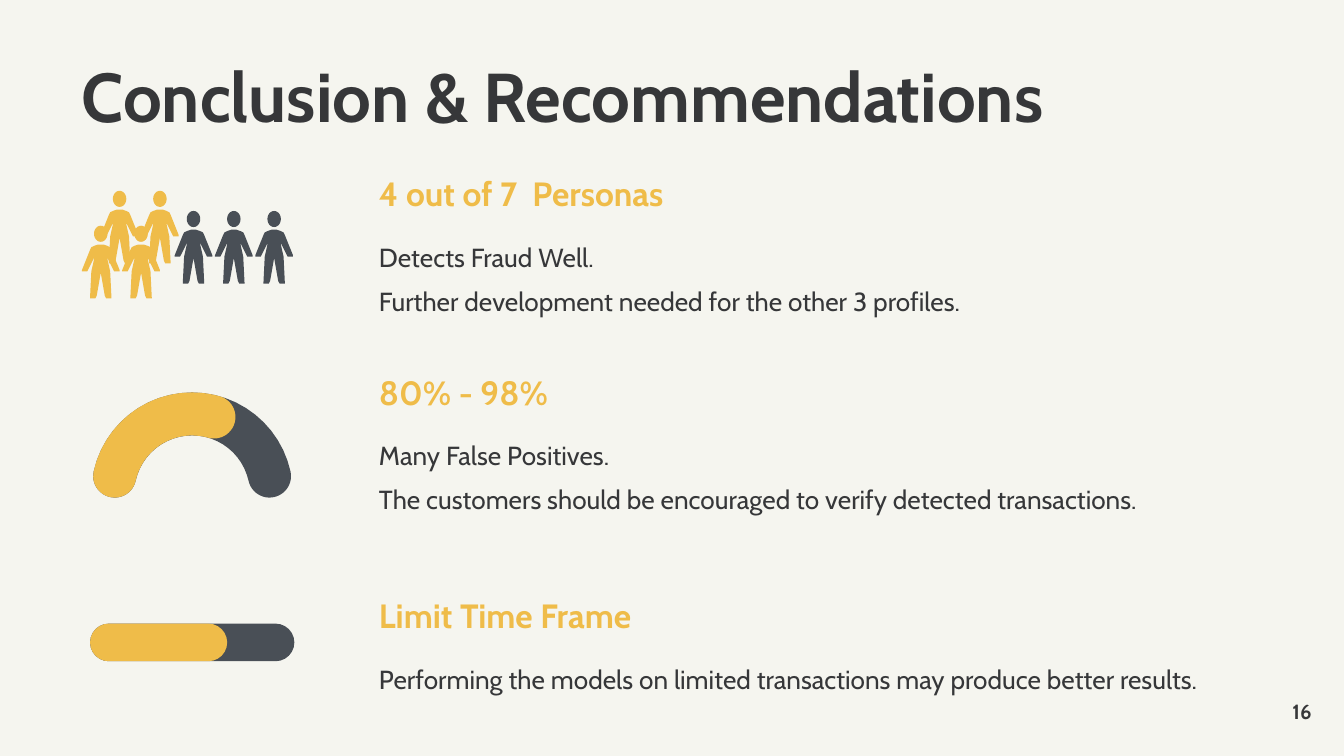
import math
import pptx
import pptx.dml.color
import pptx.enum.shapes
import pptx.enum.text
import pptx.util

Inches = pptx.util.Inches
Pt = pptx.util.Pt
RGB = pptx.dml.color.RGBColor.from_string
Align = pptx.enum.text.PP_ALIGN
Anchor = pptx.enum.text.MSO_ANCHOR


class Theme:
    font = "Cabin"
    paper = RGB("F5F5EF")
    ink = RGB("363739")
    gold = RGB("EFBC49")
    slate = RGB("494F56")
    title = Pt(37)
    head = Pt(18)
    body = Pt(14)
    page = Pt(11)


def arc(x, y, wide, high, start, end, steps=24):
    """Points along an ellipse, angles in degrees counted anticlockwise."""
    turns = [math.radians(start + (end - start) * i / steps) for i in range(steps + 1)]
    return [(x + wide * math.cos(t), y - high * math.sin(t)) for t in turns]


def draw(rings, color):
    """One filled outline made of several closed rings."""
    rings = [[(Inches(x), Inches(y)) for x, y in ring] for ring in rings]
    build = slide.shapes.build_freeform(*rings[0][0])
    for i, ring in enumerate(rings):
        if i:
            build.move_to(*ring[0])
        build.add_line_segments(ring[1:], close=True)
    shape = build.convert_to_shape()
    shape.shadow.inherit = False
    shape.fill.solid()
    shape.fill.fore_color.rgb = color
    shape.line.fill.background()


# Widescreen slide, 16 to 9
deck = pptx.Presentation()
deck.slide_width = Inches(10)
deck.slide_height = deck.slide_width * 9 // 16
slide = deck.slides.add_slide(deck.slide_layouts[5])
slide.background.fill.solid()
slide.background.fill.fore_color.rgb = Theme.paper

# Gauge: a full band, then the filled part over it
mid_x, mid_y, reach, half = 1.43, 3.67, 0.59, 0.16
low = 167.5
for end, color in [(12.5, Theme.slate), (74, Theme.gold)]:
    caps = []
    for angle in (end, low):
        turn = math.radians(angle)
        caps.append((mid_x + reach * math.cos(turn), mid_y - reach * math.sin(turn)))
    outer, inner = reach + half, reach - half
    draw([arc(mid_x, mid_y, outer, outer, low, end)
          + arc(*caps[0], half, half, end, end - 180)
          + arc(mid_x, mid_y, inner, inner, end, low)
          + arc(*caps[1], half, half, low + 180, low)], color)

# Progress bar: track, then the filled part over it
for width, color in [(1.52, Theme.slate), (1.02, Theme.gold)]:
    bar = slide.shapes.add_shape(
        pptx.enum.shapes.MSO_SHAPE.ROUNDED_RECTANGLE,
        Inches(0.67), Inches(4.64), Inches(width), Inches(0.28))
    bar.adjustments[0] = 0.5
    bar.shadow.inherit = False
    bar.fill.solid()
    bar.fill.fore_color.rgb = color
    bar.line.fill.background()

# People: right half of a body, mirrored about its middle line
side = [(0.02, 0.14), (0.05, 0.15), (0.07, 0.16), (0.08, 0.18), (0.1, 0.23),
        (0.14, 0.33), (0.14, 0.34), (0.12, 0.34), (0.1, 0.34), (0.09, 0.32),
        (0.05, 0.24), (0.05, 0.25), (0.07, 0.34), (0.08, 0.54), (0.07, 0.54),
        (0.06, 0.54), (0.04, 0.54), (0.03, 0.52), (0, 0.35)]
body = side + [(-x, y) for x, y in reversed(side)]
for left, top, count, color in [(0.89, 1.42, 2, Theme.gold),
                                (1.44, 1.57, 3, Theme.slate),
                                (0.75, 1.68, 2, Theme.gold)]:
    rings = []
    for i in range(count):
        x = left + 0.3 * i
        rings.append(arc(x, top + 0.06, 0.05, 0.06, 0, 360))
        rings.append([(x + dx, top + dy) for dx, dy in body])
    draw(rings, color)

# Wording: title, page number, then a heading and body for each row
rows = [
    (1.23, "4 out of 7  Personas",
     ["Detects Fraud Well.", "Further development needed for the other 3 profiles."]),
    (2.71, "80% - 98%",
     ["Many False Positives.",
      "The customers should be encouraged to verify detected transactions."]),
    (4.37, "Limit Time Frame",
     ["Performing the models on limited transactions may produce better results."]),
]
page = slide.shapes.add_textbox(0, 0, 0, 0)
texts = [
    (slide.shapes.title, (0.61, 0.47, 8.18, 0.79), ["Conclusion & Recommendations"],
     Theme.title, Theme.ink, True, 0.9),
    (page, (9.16, 5.19, 0.6, 0.2), ["16"], Theme.page, Theme.ink, True, 1.0),
]
for top, head, lines in rows:
    texts.append((slide.shapes.add_textbox(0, 0, 0, 0), (2.82, top, 4.36, 0.3),
                  [head], Theme.head, Theme.gold, True, 1.2))
    texts.append((slide.shapes.add_textbox(0, 0, 0, 0),
                  (2.82, top + 0.47, 6.44, 0.28 * len(lines)),
                  lines, Theme.body, Theme.ink, False, 1.4))

for box, place, lines, size, color, bold, space in texts:
    box.left, box.top, box.width, box.height = [Inches(n) for n in place]
    frame = box.text_frame
    frame.word_wrap = True
    frame.auto_size = pptx.enum.text.MSO_AUTO_SIZE.NONE
    frame.vertical_anchor = Anchor.TOP
    frame.margin_left = frame.margin_right = 0
    frame.margin_top = frame.margin_bottom = 0
    for i, line in enumerate(lines):
        para = frame.add_paragraph() if i else frame.paragraphs[0]
        para.alignment = Align.LEFT
        para.line_spacing = space
        run = para.add_run()
        run.text = line
        run.font.name = Theme.font
        run.font.size = size
        run.font.bold = bold
        run.font.color.rgb = color

# The page number sits at the right, centred in its box
page.text_frame.vertical_anchor = Anchor.MIDDLE
page.text_frame.paragraphs[0].alignment = Align.RIGHT

deck.save("out.pptx")
